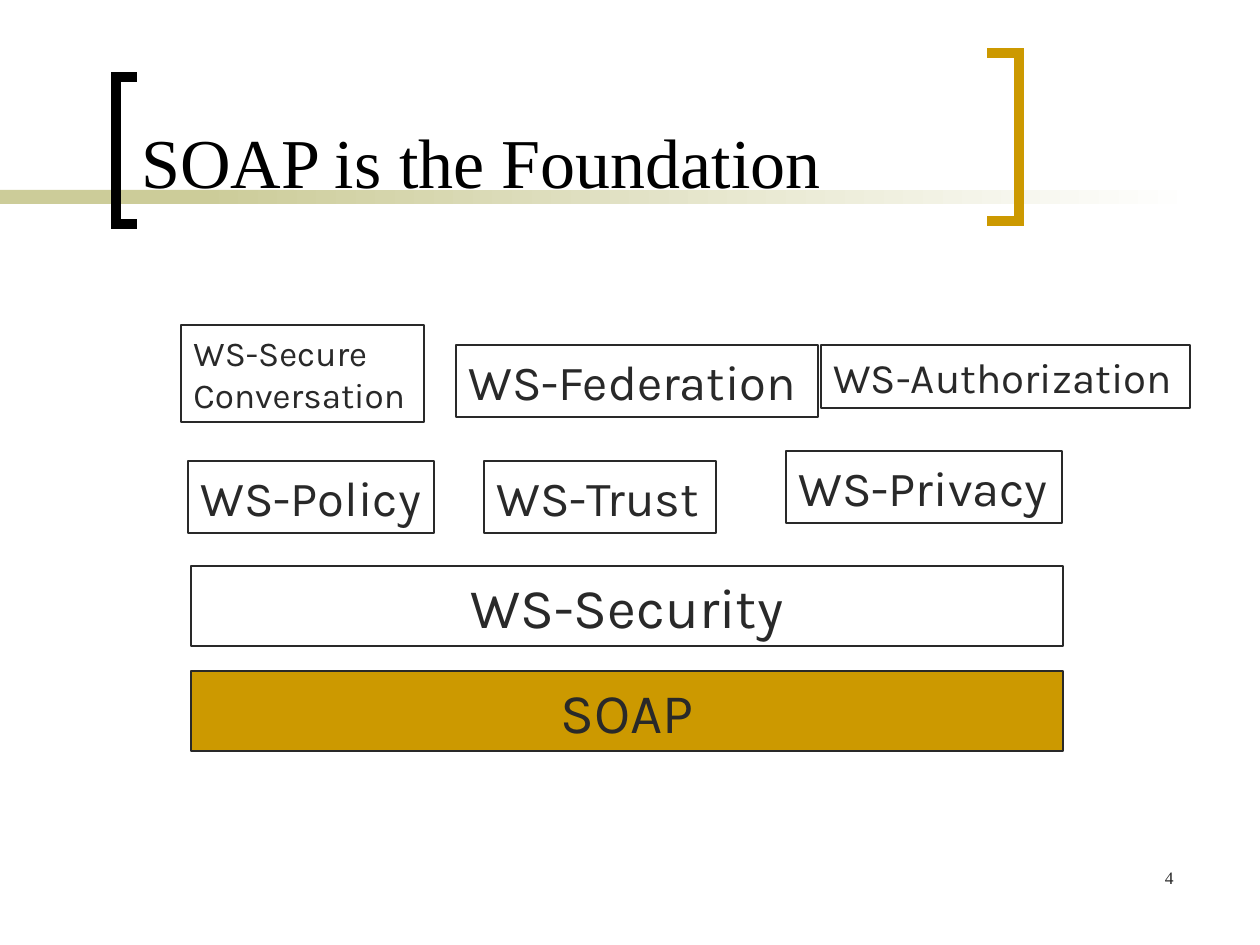
from lxml import etree
from pptx import Presentation
from pptx import util as u
from pptx.dml.color import RGBColor
from pptx.enum import shapes, text
from pptx.oxml.ns import qn

PX = u.Inches(1) / 126
INK, GOLD, SAND = "292929", "CC9900", "CCCC99"
SERIF, SANS = "Times New Roman", "Karla"


def px(*lengths):
    return [u.Emu(round(length * PX)) for length in lengths]


def color(value):
    return RGBColor.from_string(value)


def write(shape, lines, size, font, ink=INK, align=text.PP_ALIGN.LEFT,
          anchor=text.MSO_ANCHOR.TOP):
    frame = shape.text_frame
    frame.word_wrap = True
    frame.vertical_anchor = anchor
    frame.text = lines
    for para in frame.paragraphs:
        para.alignment = align
        para.font.size = u.Pt(size)
        para.font.name = font
        para.font.color.rgb = color(ink)
    return frame


def add_rect(page, box):
    rect = page.shapes.add_shape(shapes.MSO_SHAPE.RECTANGLE, *px(*box))
    rect.shadow.inherit = False
    return rect


def add_bracket(page, box, ink, opens_right):
    left, top, width, height = box
    spine, tip = (left, left + width) if opens_right else (left + width, left)
    builder = page.shapes.build_freeform(tip, top, scale=PX)
    builder.add_line_segments(
        [(spine, top), (spine, top + height), (tip, top + height)], close=False)
    bracket = builder.convert_to_shape()
    bracket.shadow.inherit = False
    bracket.fill.background()
    bracket.line.color.rgb = color(ink)
    bracket.line.width = u.Pt(6)
    etree.SubElement(bracket.line._ln, qn("a:miter"), lim="800000")


def add_header(page, box, title):
    """Title between two brackets, over a stripe that fades out to the right."""
    left, top, width, height = box
    stripe_top, solid = top + 176, 294
    band = add_rect(page, (0, stripe_top, solid, 14))
    band.fill.solid()
    band.fill.fore_color.rgb = color(SAND)
    fade = add_rect(page, (199, stripe_top, 998, 14))
    fade.fill.gradient()
    fade.fill.gradient_angle = 0
    for stop, value in zip(fade.fill.gradient_stops, (SAND, "FFFFFF")):
        stop.color.rgb = color(value)
    for part in (band, fade):
        part.line.fill.background()
    add_bracket(page, (left - 13, top + 63, 21, 147), "000000", True)
    add_bracket(page, (left + 858, top + 39, 32, 168), GOLD, False)
    write(page.shapes.add_textbox(*px(*box)), title, 40, SERIF, "000000",
          anchor=text.MSO_ANCHOR.BOTTOM)


def add_block(page, box, label, size, fill=None, wide=False):
    block = add_rect(page, box)
    if fill:
        block.fill.solid()
        block.fill.fore_color.rgb = color(fill)
    else:
        block.fill.background()
    block.line.color.rgb = color(INK)
    block.line.width = u.Pt(0.75)
    align = text.PP_ALIGN.CENTER if wide else text.PP_ALIGN.LEFT
    frame = write(block, label, size, SANS, align=align)
    frame.word_wrap = wide
    frame.auto_size = text.MSO_AUTO_SIZE.SHAPE_TO_FIT_TEXT


def add_stack(page, left, top):
    """Protocol layers, from the extensions at the top down to the base."""
    extensions = [
        ((0, 0, 243, 97), "WS-Secure\nConversation", 20),
        ((275, 20, 362, 72), "WS-Federation", 28),
        ((640, 20, 369, 63), "WS-Authorization", 24),
        ((7, 136, 246, 72), "WS-Policy", 28),
        ((303, 136, 232, 72), "WS-Trust", 28),
        ((605, 126, 276, 72), "WS-Privacy", 28),
    ]
    for (x, y, width, height), label, size in extensions:
        add_block(page, (left + x, top + y, width, height), label, size)
    for y, label, fill in ((241, "WS-Security", None), (346, "SOAP", GOLD)):
        add_block(page, (left + 10, top + y, 872, 80), label, 32, fill, wide=True)


def add_page_number(page, box, number):
    write(page.shapes.add_textbox(*px(*box)), number, 10, SERIF,
          align=text.PP_ALIGN.RIGHT)


def main():
    deck = Presentation()
    deck.slide_width, deck.slide_height = px(1260, 945)
    page = deck.slides.add_slide(deck.slide_layouts[6])
    add_header(page, (129, 14, 987, 195), "SOAP is the Foundation")
    add_stack(page, 181, 325)
    add_page_number(page, (924, 861, 262, 63), "4")
    deck.save("out.pptx")


if __name__ == "__main__":
    main()
